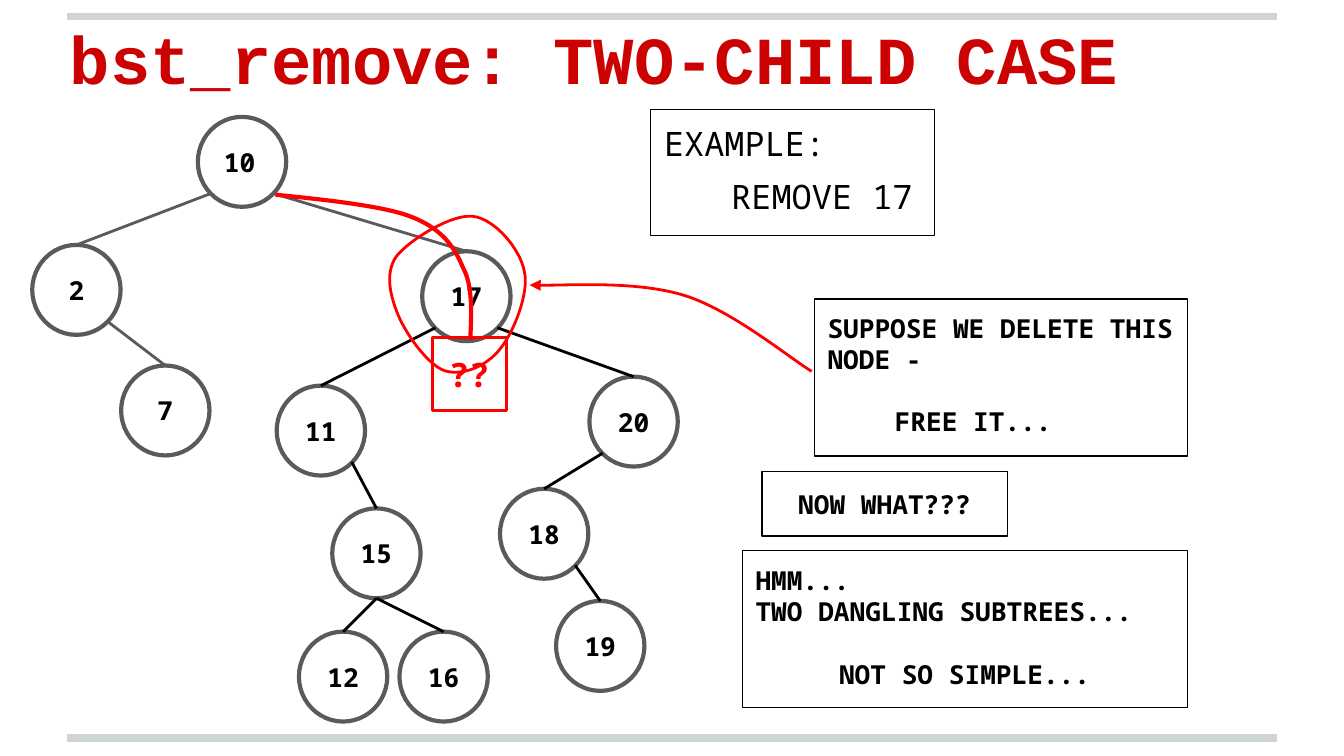
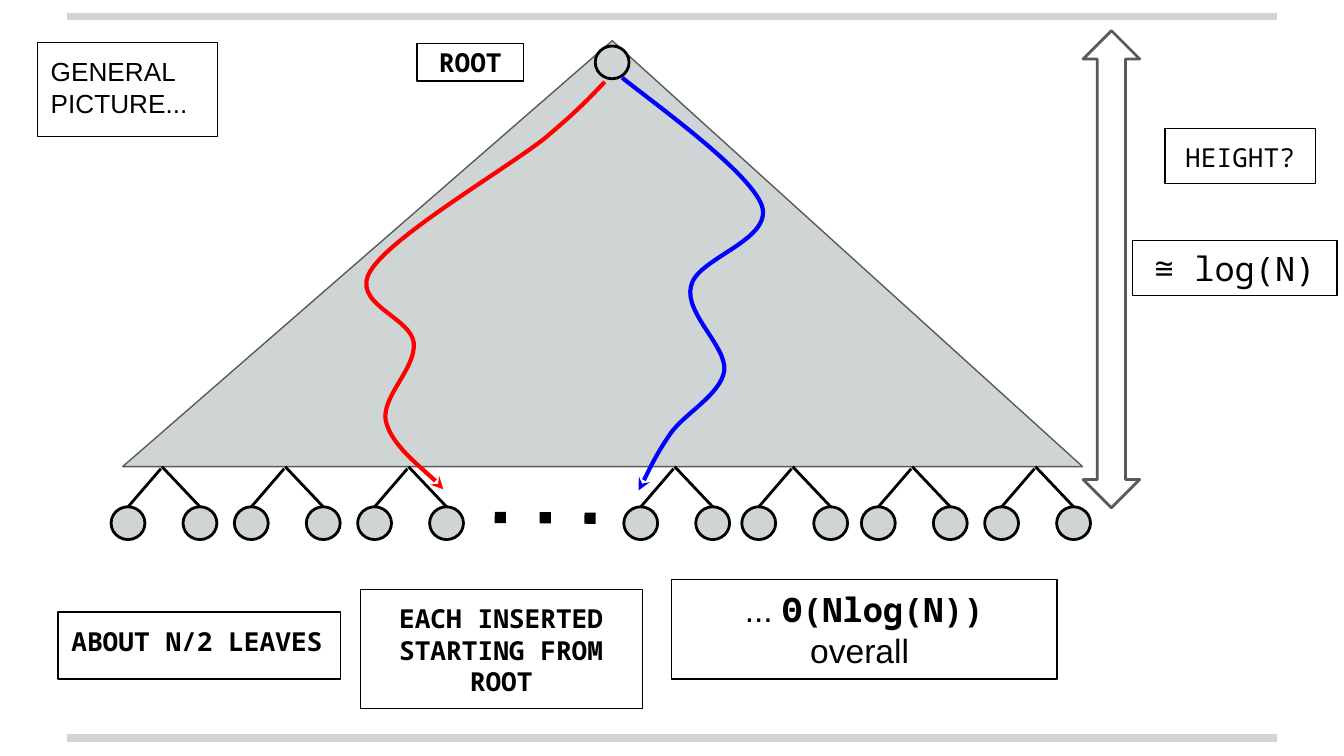
from lxml import etree
from pptx import Presentation
from pptx import util as u
from pptx.dml.color import RGBColor
from pptx.enum import shapes, text
from pptx.oxml import ns

BLACK = RGBColor(0x00, 0x00, 0x00)
GREY = RGBColor(0x5B, 0x59, 0x5A)
SILVER = RGBColor(0xCF, 0xD4, 0xD4)
RED = RGBColor(0xFF, 0x00, 0x00)
BLUE = RGBColor(0x00, 0x00, 0xFF)
TITLE_RED = RGBColor(0xCC, 0x02, 0x02)
MONO = "Noto Sans Mono"
LEFT, CENTER = text.PP_ALIGN.LEFT, text.PP_ALIGN.CENTER
TOP, MIDDLE, BOTTOM = text.MSO_ANCHOR.TOP, text.MSO_ANCHOR.MIDDLE, text.MSO_ANCHOR.BOTTOM
RECT, OVAL = shapes.MSO_SHAPE.RECTANGLE, shapes.MSO_SHAPE.OVAL


def add_box(page, place, kind=RECT, line=BLACK, width=0.75, fill=None, anchor=TOP):
    """Add a shape, or a plain text box when kind is None; place is in cm."""
    frame = [u.Cm(length) for length in place]
    if kind is None:
        box = page.shapes.add_textbox(*frame)
    else:
        box = page.shapes.add_shape(kind, *frame)
        box.shadow.inherit = False
        box.line.color.rgb = line
        box.line.width = u.Pt(width)
    if fill is None:
        box.fill.background()
    else:
        box.fill.solid()
        box.fill.fore_color.rgb = fill
    body = box.text_frame
    body.word_wrap = True
    body.vertical_anchor = anchor
    body.margin_left = body.margin_right = body.margin_top = body.margin_bottom = u.Cm(0.25)
    return box


def write(box, words, font=MONO, size=14, bold=True, colour=BLACK, align=LEFT,
          indent=0, before=0, same_line=False):
    """Write words as a new paragraph, or at the end of the last one."""
    body = box.text_frame
    para = body.paragraphs[-1]
    if para.runs and not same_line:
        para = body.add_paragraph()
    if not same_line:
        para.alignment = align
        para.space_before = u.Pt(before)
        if indent:
            para._p.get_or_add_pPr().set("marL", str(u.Cm(indent)))
    span = para.add_run()
    span.text = words
    span.font.name = font
    span.font.size = u.Pt(size)
    span.font.bold = bold
    span.font.color.rgb = colour


deck = Presentation()
deck.slide_width, deck.slide_height = u.Cm(25.4), u.Cm(14.29)
removal, overview = [deck.slides.add_slide(deck.slide_layouts[6]) for _ in range(2)]

# Straight lines: page, start, end, colour, width, node joined at the end, dash
lines = [(page, (1.27, y), (24.13, y), SILVER, 4, None, None)
         for page in (removal, overview) for y in (0.31, 13.95)]

# Slide 1: title
title = add_box(removal, (1.07, -0.28, 22.86, 2.39), kind=None, anchor=BOTTOM)
write(title, "bst_remove: TWO-CHILD CASE", font="Courier New", size=36, colour=TITLE_RED)

# Slide 1: tree nodes
NODE_W, NODE_H = 1.67, 1.7
corners = {
    "10": (3.74, 2.21), "2": (0.61, 4.63), "17": (7.98, 4.75), "7": (2.29, 6.91),
    "20": (11.14, 7.12), "11": (5.23, 7.29), "15": (6.28, 9.61), "12": (5.65, 11.94),
    "16": (7.55, 11.94), "18": (9.45, 9.24), "19": (10.51, 11.36),
}
nodes = {}
for key, corner in corners.items():
    nodes[key] = add_box(removal, (*corner, NODE_W, NODE_H), OVAL, GREY, 2.25, anchor=MIDDLE)
    write(nodes[key], key, align=LEFT if key == "10" else CENTER)

# Slide 1: tree edges, from a point on the parent's rim to the child's top
rim = {"left": (0.15, 0.85), "right": (0.85, 0.85), "bottom": (0.5, 1)}
edges = [
    ("10", "2", "left", GREY), ("10", "17", "right", GREY), ("2", "7", "right", GREY),
    ("17", "11", "left", BLACK), ("17", "20", "right", BLACK), ("11", "15", "right", BLACK),
    ("15", "12", "bottom", BLACK), ("15", "16", "bottom", BLACK),
    ("20", "18", "left", BLACK), ("18", "19", "right", BLACK),
]
for parent, child, side, colour in edges:
    (x, y), (across, down) = corners[parent], rim[side]
    start = (x + across * NODE_W, y + down * NODE_H)
    end = (corners[child][0] + NODE_W / 2, corners[child][1])
    lines.append((removal, start, end, colour, 1.5, nodes[child], None))

# Slide 1: remarks
example = add_box(removal, (12.3, 2.07, 5.36, 2.38))
write(example, "EXAMPLE:", size=18, bold=False)
write(example, "REMOVE 17", size=18, bold=False, indent=1.27, before=7)

suppose = add_box(removal, (15.39, 5.65, 7.06, 2.97))
write(suppose, "SUPPOSE WE DELETE THIS NODE -")
write(suppose, "FREE IT...", indent=1.27, before=16.5)

now_what = add_box(removal, (14.4, 8.91, 4.64, 1.22), anchor=MIDDLE)
write(now_what, "NOW WHAT???", align=CENTER)

unknown = add_box(removal, (8.17, 6.38, 1.4, 1.38), line=RED, width=1.5, anchor=MIDDLE)
write(unknown, "??", size=18, colour=RED, align=CENTER)

dangling = add_box(removal, (14.03, 10.41, 8.41, 2.97))
write(dangling, "HMM...")
write(dangling, "TWO DANGLING SUBTREES...")
write(dangling, "NOT SO SIMPLE...", align=CENTER, before=17)

# Slide 2: whole tree, root and height arrow
tree = add_box(overview, (2.32, 0.77, 18.14, 8.05), shapes.MSO_SHAPE.ISOSCELES_TRIANGLE,
               GREY, fill=SILVER)
tree.adjustments[0] = 0.51
height = add_box(overview, (20.47, 0.58, 1.07, 9.02), shapes.MSO_SHAPE.UP_DOWN_ARROW, GREY, 1.5)
height.adjustments[0] = height.adjustments[1] = 0.5
LEAF_W, LEAF_H, LEAF_TOP = 0.64, 0.62, 9.58
add_box(overview, (11.25, 0.87, LEAF_W, LEAF_H), OVAL, width=1.5, fill=SILVER)

# Slide 2: pairs of leaves, each joined to a peak under the triangle
for pair_left in (2.1, 4.43, 6.76, 11.79, 14.02, 16.28, 18.61):
    for offset, peak in ((0, (0.94, 8.86)), (1.36, (0.96, 8.82))):
        x = pair_left + offset
        add_box(overview, (x, LEAF_TOP, LEAF_W, LEAF_H), OVAL, width=1.5, fill=SILVER)
        lines.append((overview, (x + LEAF_W / 2, LEAF_TOP), (pair_left + peak[0], peak[1]),
                      BLACK, 1.5, None, None))
lines.append((overview, (9.35, 9.78), (11.84, 9.8), BLACK, 6, None, "dot"))

# Slide 2: remarks
for words, place, anchor, style in (
    ("ABOUT N/2 LEAVES", (1.1, 11.57, 5.34, 1.27), TOP, {}),
    ("EACH INSERTED STARTING FROM ROOT", (6.81, 11.14, 5.33, 2.26), TOP, {"align": CENTER}),
    ("ROOT", (7.88, 0.82, 2.02, 0.71), MIDDLE, {"align": CENTER}),
    ("HEIGHT?", (22.02, 2.43, 2.84, 1.04), TOP, {"align": CENTER, "bold": False}),
    ("≅ log(N)", (21.4, 4.55, 3.87, 1.04), MIDDLE,
     {"align": CENTER, "bold": False, "size": 18}),
    ("GENERAL PICTURE...", (0.71, 0.8, 3.4, 1.78), TOP, {"font": "Arial", "bold": False}),
):
    write(add_box(overview, place, anchor=anchor), words, **style)

total = add_box(overview, (12.69, 10.96, 7.29, 1.88), anchor=MIDDLE)
write(total, "... ", font="Arial", size=18, bold=False, align=CENTER)
write(total, "Θ(Nlog(N))", size=18, same_line=True)
write(total, "overall ", font="Arial", size=18, bold=False, align=CENTER)

# Draw the straight lines
for page, start, end, colour, width, node, dash in lines:
    ends = [u.Cm(length) for length in (*start, *end)]
    line = page.shapes.add_connector(shapes.MSO_CONNECTOR.STRAIGHT, *ends)
    line.line.color.rgb = colour
    line.line.width = u.Pt(width)
    if node is not None:
        line.end_connect(node, 0)
    properties = line._element.spPr
    if dash:
        etree.SubElement(properties.find(ns.qn("a:ln")), ns.qn("a:prstDash")).set("val", dash)
    etree.SubElement(properties, ns.qn("a:effectLst"))

# Curves: page, colour, width, arrowhead, closed, Bézier points in cm
curves = [
    # ring around the deleted node
    (removal, RED, 1.5, None, True, [
        (9.91, 5.13), (9.83, 4.7), (9.35, 4.14), (8.94, 4.09), (8.53, 4.04), (7.72, 4.55),
        (7.49, 4.85), (7.26, 5.18), (7.39, 5.64), (7.54, 5.99), (7.7, 6.35), (8.1, 6.91),
        (8.41, 7.01), (8.74, 7.11), (9.19, 6.93), (9.45, 6.6), (9.7, 6.3), (10.01, 5.54),
        (9.91, 5.13)]),
    # arrow from the remark to the ring
    (removal, RED, 1.5, "triangle", False, [
        (15.34, 7.02), (14.94, 6.78), (13.84, 5.87), (12.95, 5.59), (12.07, 5.31),
        (10.52, 5.41), (10.01, 5.39)]),
    # link from the root to the unknown node
    (removal, RED, 2.25, None, False, [
        (5.21, 3.68), (5.64, 3.73), (7.16, 3.86), (7.75, 4.09), (8.36, 4.32), (8.59, 4.67),
        (8.76, 5.08), (8.97, 5.46), (8.89, 6.2), (8.89, 6.43)]),
    # two insertion routes
    (overview, RED, 2.25, "stealth", False, [
        (11.43, 1.55), (11.25, 1.73), (11.02, 2.01), (10.29, 2.62), (9.55, 3.2), (7.42, 4.45),
        (7.01, 5.11), (6.6, 5.74), (7.77, 5.99), (7.82, 6.48), (7.87, 6.96), (7.21, 7.49),
        (7.29, 7.95), (7.39, 8.41), (8.2, 9.02), (8.38, 9.25)]),
    (overview, BLUE, 2.25, "stealth", False, [
        (11.76, 1.47), (12.22, 1.85), (14.17, 3.23), (14.4, 3.89), (14.61, 4.55),
        (13.16, 4.88), (13.06, 5.41), (12.93, 5.92), (13.74, 6.55), (13.69, 7.01),
        (13.61, 7.47), (12.93, 7.82), (12.67, 8.2), (12.4, 8.59), (12.17, 9.09),
        (12.07, 9.27)]),
]
for page, colour, width, head, closed, points in curves:
    points = [(u.Cm(x), u.Cm(y)) for x, y in points]
    outline = page.shapes.build_freeform(*points[0])
    outline.add_line_segments(points[3::3], close=closed)
    curve = outline.convert_to_shape()
    curve.shadow.inherit = False
    curve.fill.background()
    curve.line.color.rgb = colour
    curve.line.width = u.Pt(width)
    # Bend each segment by giving it its two control points
    segments = list(curve._element.spPr.iter(ns.qn("a:lnTo")))
    for number, segment in enumerate(segments):
        segment.tag = ns.qn("a:cubicBezTo")
        for place in (0, 1):
            x, y = points[3 * number + 1 + place]
            control = etree.Element(ns.qn("a:pt"), x=str(x - curve.left), y=str(y - curve.top))
            segment.insert(place, control)
    if head:
        stroke = curve._element.spPr.find(ns.qn("a:ln"))
        etree.SubElement(stroke, ns.qn("a:tailEnd")).set("type", head)

deck.save("out.pptx")
